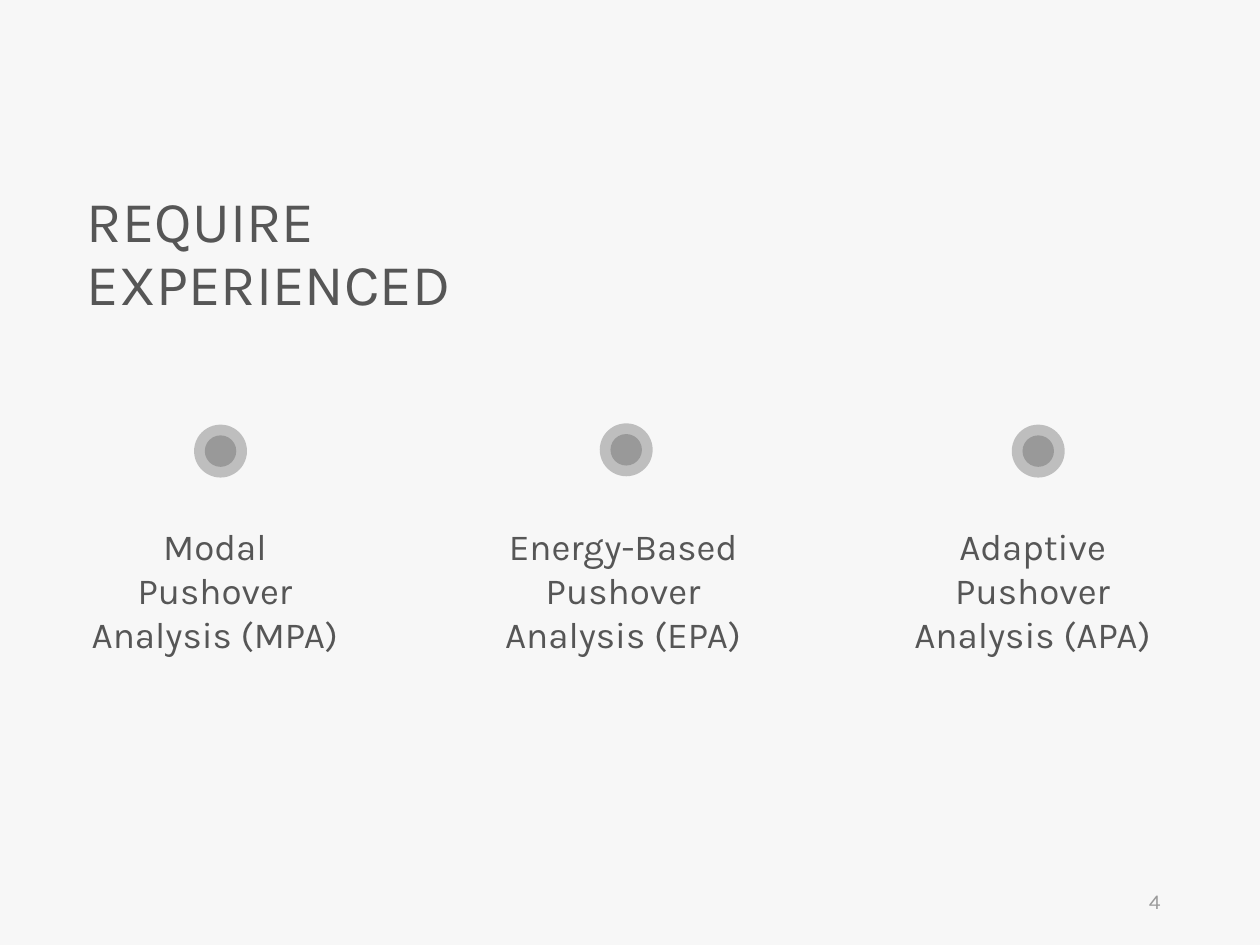
from dataclasses import dataclass
from pptx import Presentation
from pptx.dml.color import RGBColor as Rgb
from pptx.enum.shapes import MSO_SHAPE as Shape
from pptx.enum.text import MSO_ANCHOR as Anchor, MSO_AUTO_SIZE as Fit, PP_ALIGN as Align
from pptx.oxml.ns import qn
from pptx.util import Inches, Pt
from lxml import etree


@dataclass(frozen=True)
class Theme:
    """Colours, font and type sizes."""
    back: str = "F7F7F7"
    ink: str = "565656"
    pale: str = "9A9A9A"
    font: str = "Karla"
    head: int = 33
    body: int = 21
    note: int = 12
    alpha: int = 35


class Deck:
    """Holds the theme and the current slide."""

    def __init__(self, theme):
        self.theme = theme
        self.prs = Presentation()
        self.prs.slide_width, self.prs.slide_height = Inches(10), Inches(7.5)
        self.slide = self.prs.slides.add_slide(self.prs.slide_layouts[5])
        fill = self.slide.background.fill
        fill.solid()
        fill.fore_color.rgb = Rgb.from_string(theme.back)

    def text(self, box, words, size, color, align, left=0, grow=True):
        frame = box.text_frame
        frame.word_wrap = True
        frame.auto_size = Fit.SHAPE_TO_FIT_TEXT if grow else Fit.NONE
        frame.vertical_anchor = Anchor.TOP if grow else Anchor.MIDDLE
        frame.margin_left = Inches(left)
        frame.margin_right = Inches(0.1)
        frame.margin_top = frame.margin_bottom = Inches(0.05)
        para = frame.paragraphs[0]
        para.alignment = align
        run = para.add_run()
        run.text = words
        run.font.name = self.theme.font
        run.font.size = Pt(size)
        run.font.color.rgb = Rgb.from_string(color)
        return para

    def title(self, words, x, y, w, h):
        box = self.slide.shapes.title
        box.left, box.top, box.width, box.height = map(Inches, (x, y, w, h))
        para = self.text(box, words, self.theme.head, self.theme.ink, Align.LEFT)
        para.line_spacing = 0.9
        para.space_before = Pt(10)

    def label(self, words, x, y, w, h):
        box = self.slide.shapes.add_textbox(*map(Inches, (x, y, w, h)))
        self.text(box, words, self.theme.body, self.theme.ink, Align.CENTER)

    def number(self, words, x, y, w, h):
        box = self.slide.shapes.add_textbox(*map(Inches, (x, y, w, h)))
        self.text(box, words, self.theme.note, self.theme.pale, Align.RIGHT, 0.1, False)

    def dot(self, x, y, sizes):
        group = self.slide.shapes.add_group_shape()
        for size in sizes:
            spot = (x - size / 2, y - size / 2, size, size)
            disc = group.shapes.add_shape(Shape.OVAL, *map(Inches, spot))
            disc.shadow.inherit = False
            disc.line.fill.background()
            disc.fill.solid()
            disc.fill.fore_color.rgb = Rgb.from_string(self.theme.ink)
            tone = disc.element.spPr.find(qn("a:solidFill"))[0]
            etree.SubElement(tone, qn("a:alpha")).set("val", str(self.theme.alpha * 1000))


def main():
    deck = Deck(Theme())
    deck.title("REQUIRE EXPERIENCED", 0.69, 1.48, 4.27, 1.1)
    items = [
        ("Modal Pushover Analysis (MPA)", 0.69, 1.75, 3.58),
        ("Energy-Based Pushover Analysis (EPA)", 3.93, 4.97, 3.57),
        ("Adaptive Pushover Analysis (APA)", 7.18, 8.24, 3.58),
    ]
    for words, left, mid, high in items:
        deck.dot(mid, high, (0.42, 0.25))
        deck.label(words, left, 4.11, 2.13, 1.16)
    deck.number("4", 7.06, 6.95, 2.25, 0.4)
    deck.prs.save("out.pptx")


if __name__ == "__main__":
    main()
